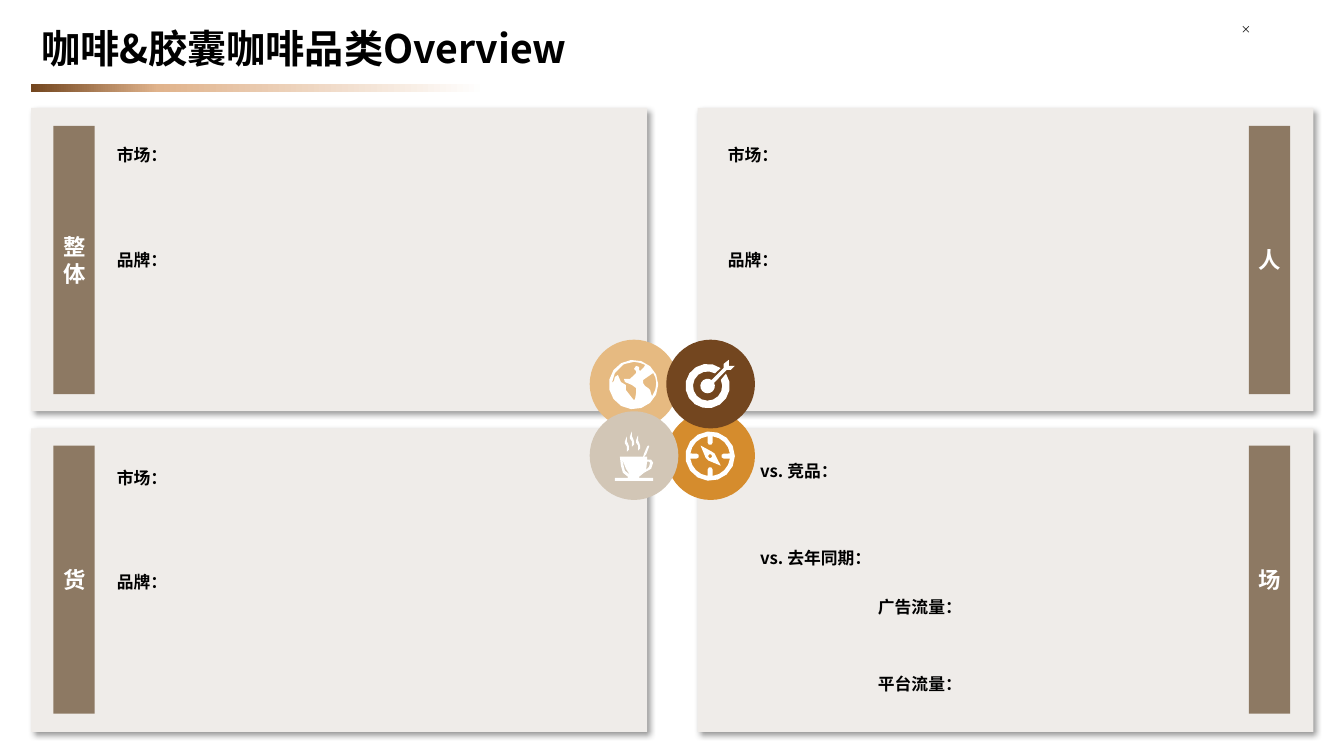
"""Build the coffee category overview slide with four panels and a central icon cluster."""
from copy import deepcopy
from dataclasses import dataclass
from math import ceil, cos, radians, sin

from lxml.etree import SubElement
from pptx import Presentation
from pptx.dml.color import RGBColor
from pptx.enum.shapes import MSO_CONNECTOR, MSO_SHAPE
from pptx.enum.text import MSO_ANCHOR, PP_ALIGN
from pptx.oxml.ns import qn
from pptx.shapes.autoshape import Shape
from pptx.slide import Slide
from pptx.text.text import _Paragraph
from pptx.util import Inches, Pt

BLACK = RGBColor(0x00, 0x00, 0x00)
WHITE = RGBColor(0xFF, 0xFF, 0xFF)
PANEL = RGBColor(0xEF, 0xEC, 0xE9)
TAB = RGBColor(0x8D, 0x79, 0x63)
COFFEE = RGBColor(0x73, 0x46, 0x1F)
CREAM = RGBColor(0xE0, 0xB3, 0x8C)
ORANGE = RGBColor(0xD5, 0x8C, 0x2D)
PEACH = RGBColor(0xE6, 0xBA, 0x81)
TAUPE = RGBColor(0xD2, 0xC6, 0xB6)
FONT = "Noto Sans CJK SC"
NO_GRID_STYLE = "{2D5ABB26-0587-4C30-8999-92F81FD0307C}"
UNITS = 100

Contour = list[tuple[float, float]]


@dataclass
class Panel:
    left: float
    top: float
    tab_left: float
    tab_top: float
    label: str


@dataclass
class Grid:
    left: float
    top: float
    columns: tuple[float, float]
    rows: int
    height: float
    texts: dict[tuple[int, int], str]


@dataclass
class Badge:
    left: float
    top: float
    color: RGBColor
    icon_left: float
    icon_top: float
    contours: list[Contour]


def arc(x: float, y: float, radius: float, start: float = 0, end: float = 360) -> Contour:
    """Return points along an arc, angles in degrees clockwise from the right."""
    steps = ceil(abs(end - start) / (24 if radius > 5 else 60))
    angles = [radians(start + (end - start) * step / steps) for step in range(steps + 1)]
    return [(x + radius * cos(angle), y + radius * sin(angle)) for angle in angles]


def compass_dial() -> Contour:
    """Return the inner edge of the compass ring with its four rounded ticks."""
    points: Contour = []
    for turn in range(0, 360, 90):
        tip_x, tip_y = 24.5 + 13.5 * cos(radians(turn)), 24.5 + 13.5 * sin(radians(turn))
        points += arc(tip_x, tip_y, 2.5, turn + 270, turn + 90)
        points += arc(24.5, 24.5, 19.8, turn + 7.5, turn + 82.5)
    return points


COMPASS = [
    arc(24.5, 24.5, 24.5), compass_dial(),
    [(26, 20), (15, 14), (20, 26), (23, 29), (35, 34), (29, 22)],
    arc(24.5, 24.5, 2),
]
GLOBE = [
    arc(24.5, 24.5, 24.5),
    [(44, 13), (46, 17), (47, 22), (47, 24), (46, 30), (43, 36), (42, 34), (41, 30), (39, 28),
     (36, 26), (34, 23), (34, 20)],
    [(14, 5), (16, 4), (25, 2), (31, 3), (36, 5), (35, 7), (31, 11), (30, 10), (30, 7), (27, 6),
     (25, 9), (27, 11), (27, 13), (21, 19), (15, 19), (16, 22), (23, 25), (27, 28), (27, 33),
     (26, 39), (25, 40), (24, 39), (17, 30), (17, 25), (12, 22), (9, 15), (6, 17), (5, 21),
     (4, 22), (3, 23), (6, 13)],
]
STEAM = [(12, 5), (12, 10), (13, 12), (14, 15), (14, 18), (12, 20), (12, 15), (10, 12), (10, 10),
         (11, 7)]
CUP = [
    [(34, 14), (34, 15), (31, 23), (29, 25), (32, 25), (32, 28), (36, 28), (38, 31), (36, 37),
     (29, 41), (24, 45), (24, 46), (38, 46), (38, 49), (0, 49), (0, 46), (13, 46), (13, 45),
     (8, 41), (6, 34), (5, 25), (28, 25), (29, 22), (32, 15), (33, 14)],
    [(34, 30), (32, 30), (31, 38), (34, 35), (35, 31)],
    [(7, 27), (10, 39), (15, 43), (11, 37)],
    *[[(x + right, y + down) for x, y in STEAM] for right, down in ((0, 0), (5, -5), (11, -1))],
]
TARGET = [
    arc(22, 26, 22, -34, 306) + arc(22, 26, 14.5, 300, -25),
    arc(22, 26, 7.2, -27, 304) + [(38, 8), (38, 4), (43, 0), (43, 6), (49, 6), (45, 10), (41, 10)],
]

MARKET_BRAND = {(0, 0): "市场：", (2, 0): "品牌："}
COMPARISON = {(0, 0): "vs. 竞品：", (2, 0): "vs. 去年同期：", (3, 1): "广告流量：", (5, 1): "平台流量："}
PANELS = [
    Panel(0.31, 1.07, 0.53, 1.25, "整体"), Panel(6.92, 1.07, 12.39, 1.25, "人"),
    Panel(0.31, 4.25, 0.53, 4.42, "货"), Panel(6.92, 4.25, 12.39, 4.42, "场"),
]
GRIDS = [
    *[Grid(left, top, (0.75, 4.41), 5, 2.6, MARKET_BRAND)
      for left, top in ((1.06, 1.27), (7.12, 1.27), (1.06, 4.47))],
    Grid(7.44, 4.47, (1.17, 3.66), 7, 2.68, COMPARISON),
]
BADGES = [
    Badge(6.61, 4.08, ORANGE, 6.8, 4.28, COMPASS), Badge(5.85, 3.37, PEACH, 6.04, 3.57, GLOBE),
    Badge(5.85, 4.08, TAUPE, 6.1, 4.28, CUP), Badge(6.61, 3.37, COFFEE, 6.8, 3.57, TARGET),
]


def write(para: _Paragraph, text: str, size: float, color: RGBColor) -> None:
    """Add one bold span to a paragraph."""
    span = para.add_run()
    span.text = text
    for name, value in {"name": FONT, "size": Pt(size), "bold": True}.items():
        setattr(span.font, name, value)
    span.font.color.rgb = color
    SubElement(span.font._element, qn("a:ea"), typeface=FONT)


def paint(shape: Shape, color: RGBColor) -> None:
    """Give a shape a plain fill with no line or shadow."""
    shape.shadow.inherit = False
    shape.fill.solid()
    shape.fill.fore_color.rgb = color
    shape.line.fill.background()


def add_block(page: Slide, kind: MSO_SHAPE, left: float, top: float, width: float, height: float,
              color: RGBColor) -> Shape:
    """Add a plain preset shape."""
    block = page.shapes.add_shape(kind, Inches(left), Inches(top), Inches(width), Inches(height))
    paint(block, color)
    return block


def add_panel(page: Slide, panel: Panel) -> None:
    """Add a panel with a soft shadow."""
    block = add_block(page, MSO_SHAPE.RECTANGLE, panel.left, panel.top, 6.11, 3.01, PANEL)
    effects = block._element.spPr.find(qn("a:effectLst"))
    shadow = SubElement(effects, qn("a:outerShdw"), blurRad=str(Pt(4)), dist=str(Pt(3)),
                        dir="2700000", algn="tl", rotWithShape="0")
    tint = SubElement(shadow, qn("a:srgbClr"), val=str(BLACK))
    SubElement(tint, qn("a:alpha"), val="40000")


def add_tab(page: Slide, panel: Panel) -> None:
    """Add the labelled side tab of a panel."""
    tab = add_block(page, MSO_SHAPE.RECTANGLE, panel.tab_left, panel.tab_top, 0.41, 2.66, TAB)
    for name, value in {"word_wrap": True, "vertical_anchor": MSO_ANCHOR.MIDDLE}.items():
        setattr(tab.text_frame, name, value)
    para = tab.text_frame.paragraphs[0]
    para.alignment = PP_ALIGN.CENTER
    write(para, panel.label, 16, WHITE)


def add_badge(page: Slide, badge: Badge) -> None:
    """Add a coloured disc with its white icon."""
    add_block(page, MSO_SHAPE.OVAL, badge.left, badge.top, 0.88, 0.88, badge.color)
    builder = page.shapes.build_freeform(scale=Inches(0.01) / UNITS)
    for contour in badge.contours:
        points = [(x * UNITS, y * UNITS) for x, y in contour]
        builder.move_to(*points[0])
        builder.add_line_segments(points[1:], close=True)
    paint(builder.convert_to_shape(Inches(badge.icon_left), Inches(badge.icon_top)), WHITE)


def add_grid(page: Slide, grid: Grid) -> None:
    """Add an unruled table of headings."""
    frame = page.shapes.add_table(grid.rows, 2, Inches(grid.left), Inches(grid.top),
                                  Inches(sum(grid.columns)), Inches(grid.height))
    table = frame.table
    for name in ("first_row", "horz_banding"):
        setattr(table, name, False)
    table._tbl.tblPr.find(qn("a:tableStyleId")).text = NO_GRID_STYLE
    for column, width in zip(table.columns, grid.columns):
        column.width = Inches(width)
    for row_index, row in enumerate(table.rows):
        for column_index, cell in enumerate(row.cells):
            cell.fill.background()
            cell.vertical_anchor = MSO_ANCHOR.MIDDLE
            para = cell.text_frame.paragraphs[0]
            text = grid.texts.get((row_index, column_index))
            if text:
                write(para, text, 12, BLACK)
            else:
                SubElement(para._p, qn("a:endParaRPr"), sz="1200")


def add_cross(page: Slide) -> None:
    """Add the small cross in the top right corner."""
    for start, end in ((12.33, 12.39), (12.39, 12.33)):
        stroke = page.shapes.add_connector(MSO_CONNECTOR.STRAIGHT, Inches(start), Inches(0.26),
                                           Inches(end), Inches(0.32))
        stroke.line.width = Pt(0.5)
        stroke.line.color.rgb = BLACK
        tint = stroke._element.spPr.find(".//" + qn("a:srgbClr"))
        SubElement(tint, qn("a:alpha"), val="80000")
        SubElement(stroke._element.spPr, qn("a:effectLst"))


def add_title(page: Slide) -> None:
    """Add the fading rule and the title."""
    rule = add_block(page, MSO_SHAPE.RECTANGLE, 0.31, 0.83, 4.51, 0.08, COFFEE)
    rule.fill.gradient()
    rule.fill.gradient_angle = 0
    stop_list = rule._element.spPr.find(".//" + qn("a:gsLst"))
    stop_list.append(deepcopy(stop_list[0]))
    fade = ((0, COFFEE), (0.28, CREAM), (1, WHITE))
    for stop, (position, color) in zip(rule.fill.gradient_stops, fade):
        stop.position = position
        stop.color.rgb = color
    box = page.shapes.add_textbox(Inches(0.31), Inches(0.11), Inches(10.32), Inches(0.78))
    for name, value in {"word_wrap": True, "vertical_anchor": MSO_ANCHOR.MIDDLE}.items():
        setattr(box.text_frame, name, value)
    para = box.text_frame.paragraphs[0]
    para.line_spacing = 0.9
    write(para, "咖啡&胶囊咖啡品类Overview", 28, BLACK)


def main() -> None:
    """Draw the slide and save the deck."""
    deck = Presentation()
    deck.slide_width, deck.slide_height = Inches(40 / 3), Inches(7.5)
    page = deck.slides.add_slide(deck.slide_layouts[6])
    add_cross(page)
    for draw, items in ((add_panel, PANELS), (add_badge, BADGES), (add_tab, PANELS),
                        (add_grid, GRIDS)):
        for item in items:
            draw(page, item)
    add_title(page)
    deck.save("out.pptx")


if __name__ == "__main__":
    main()
